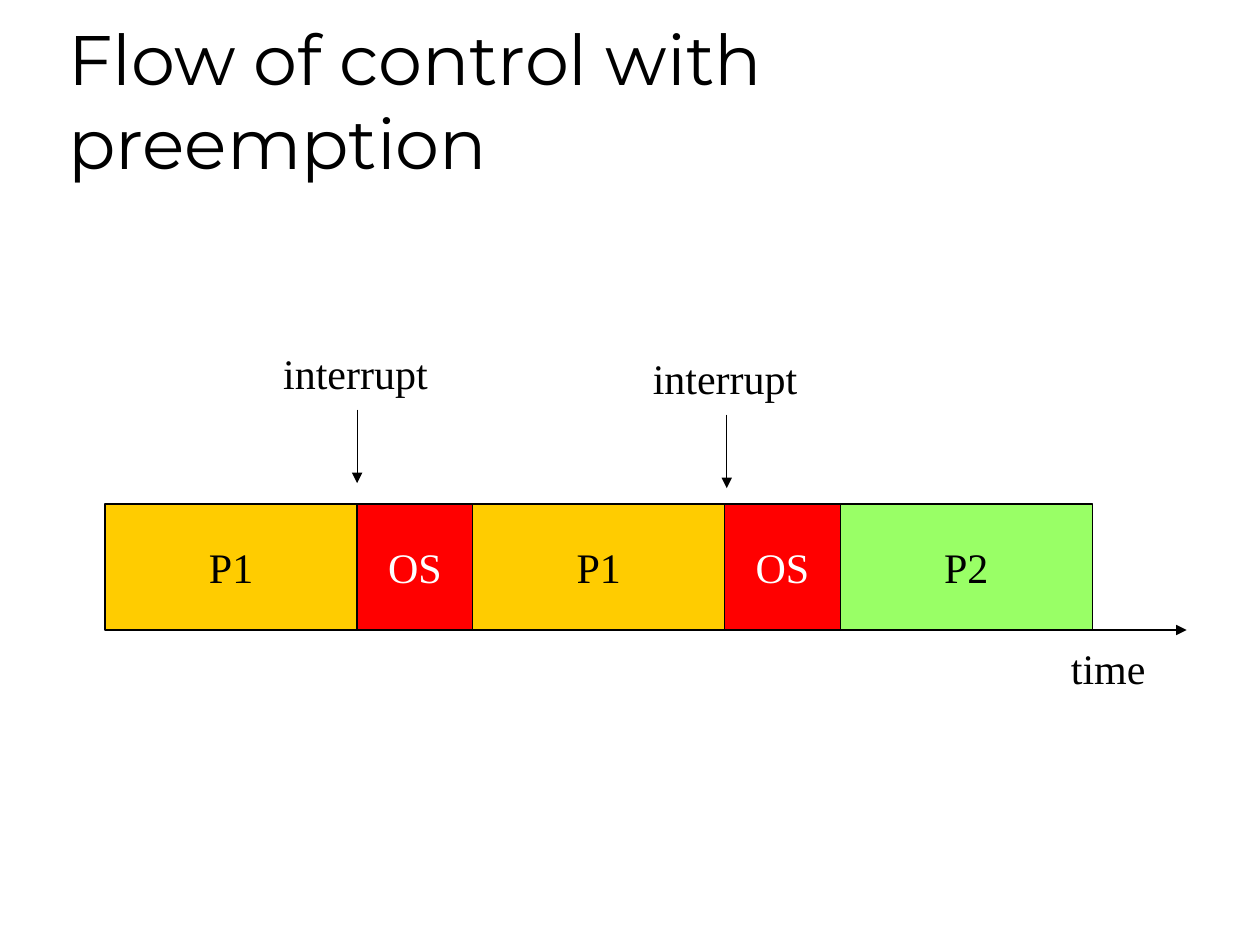
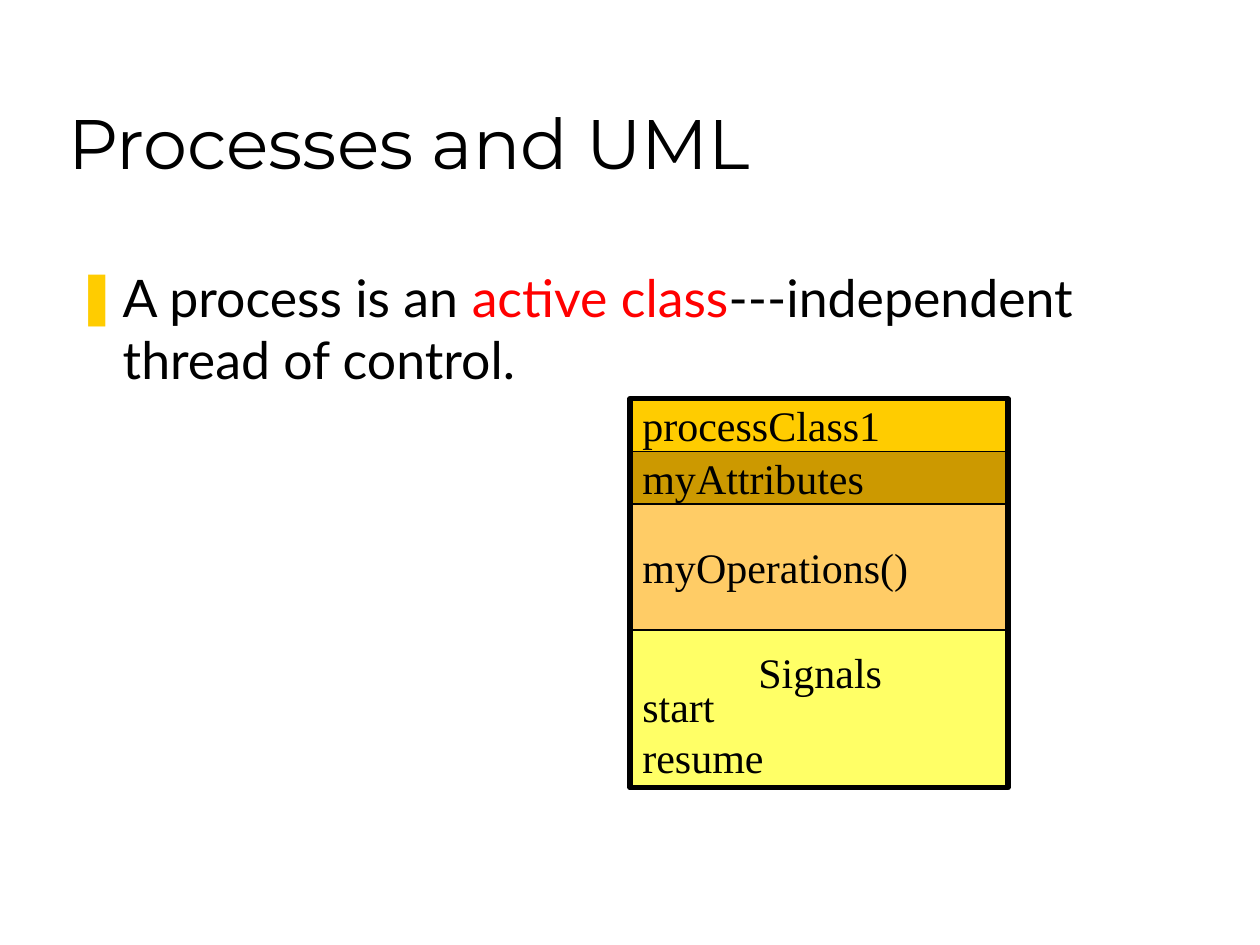
from lxml import etree
from pptx import Presentation
from pptx.dml.color import RGBColor
from pptx.enum import shapes, text
from pptx.oxml import ns
from pptx.util import Cm, Pt

BLACK = RGBColor(0x00, 0x00, 0x00)
WHITE = RGBColor(0xFF, 0xFF, 0xFF)
RED = RGBColor(0xFF, 0x00, 0x00)
GOLD = RGBColor(0xFF, 0xCC, 0x00)
GREEN = RGBColor(0x99, 0xFF, 0x66)
BROWN = RGBColor(0xCC, 0x99, 0x00)
PEACH = RGBColor(0xFF, 0xCC, 0x66)
LEMON = RGBColor(0xFF, 0xFF, 0x66)

SERIF = "Times New Roman"
LEFT = text.PP_ALIGN.LEFT
CENTER = text.PP_ALIGN.CENTER
TOP = text.MSO_ANCHOR.TOP
MIDDLE = text.MSO_ANCHOR.MIDDLE
BOTTOM = text.MSO_ANCHOR.BOTTOM


def write(frame, lines, font=SERIF, size=24, color=BLACK, align=LEFT,
          anchor=TOP, wrap=True, bullet=None):
    """Fill a text frame; each line is a string or a list of (string, colour) runs."""
    frame.auto_size = text.MSO_AUTO_SIZE.NONE
    frame.word_wrap = wrap
    frame.vertical_anchor = anchor
    for i, line in enumerate(lines):
        para = frame.paragraphs[0] if i == 0 else frame.add_paragraph()
        if bullet:
            mark(para, bullet)
        para.alignment = align
        para.space_before = Pt(0)
        for part, tint in [(line, color)] if isinstance(line, str) else line:
            run = para.add_run()
            run.text = part
            run.font.name = font
            run.font.size = Pt(size)
            run.font.color.rgb = tint


def mark(para, color, sign="❚", indent=0.95):
    """Give a paragraph a coloured bullet with a hanging indent."""
    props = para._p.get_or_add_pPr()
    props.set("marL", str(Cm(indent)))
    props.set("indent", str(-Cm(indent)))
    tint = etree.SubElement(props, ns.qn("a:buClr"))
    etree.SubElement(tint, ns.qn("a:srgbClr"), val=str(color))
    etree.SubElement(props, ns.qn("a:buChar"), char=sign)


def place(shape, left, top, width, height):
    """Move and size a shape in centimetres."""
    shape.left, shape.top = Cm(left), Cm(top)
    shape.width, shape.height = Cm(width), Cm(height)


def start(deck, layout, title):
    """Add a slide with its title."""
    slide = deck.slides.add_slide(deck.slide_layouts[layout])
    place(slide.shapes.title, 1.12, 0.64, 21.59, 3.18)
    write(slide.shapes.title.text_frame, [title], font="Montserrat", size=40,
          anchor=BOTTOM)
    return slide


def block(slide, left, top, width, height, fill=None, lines=(), line=0.75, **style):
    """Draw an outlined rectangle with optional fill and text."""
    box = slide.shapes.add_shape(shapes.MSO_SHAPE.RECTANGLE, Cm(left), Cm(top),
                                 Cm(width), Cm(height))
    box.shadow.inherit = False
    if fill is None:
        box.fill.background()
    else:
        box.fill.solid()
        box.fill.fore_color.rgb = fill
    box.line.color.rgb = BLACK
    box.line.width = Pt(line)
    write(box.text_frame, lines, **{"anchor": MIDDLE, **style})


def label(slide, left, top, width, words):
    """Add a one-line text box."""
    box = slide.shapes.add_textbox(Cm(left), Cm(top), Cm(width), Cm(1.27))
    write(box.text_frame, [words], wrap=False)


def arrow(slide, x1, y1, x2, y2):
    """Draw a thin arrow from one point to another."""
    link = slide.shapes.add_connector(shapes.MSO_CONNECTOR.STRAIGHT,
                                      Cm(x1), Cm(y1), Cm(x2), Cm(y2))
    link.line.color.rgb = BLACK
    link.line.width = Pt(0.75)
    etree.SubElement(link.line._get_or_add_ln(), ns.qn("a:tailEnd"), type="triangle")
    etree.SubElement(link._element.spPr, ns.qn("a:effectLst"))


def flow(deck):
    """Build the timeline of preempted processes."""
    slide = start(deck, 5, "Flow of control with preemption")
    left, base, high = 2.12, 12.7, 2.54
    arrow(slide, left, base, 23.92, base)
    label(slide, 21.34, 12.83, 2.01, "time")
    kinds = {"P1": (5.08, GOLD, BLACK), "OS": (2.33, RED, WHITE),
             "P2": (5.08, GREEN, BLACK)}
    for name in ("P1", "OS", "P1", "OS", "P2"):
        width, fill, ink = kinds[name]
        block(slide, left, base - high, width, high, fill, [name],
              color=ink, align=CENTER)
        left += width
    for x, y in ((7.2, 8.26), (14.65, 8.36)):
        arrow(slide, x, y, x, y + 1.48)
        label(slide, x - 1.74, y - 1.37, 3.43, "interrupt")


def classes(deck):
    """Build the slide on active classes."""
    slide = start(deck, 1, "Processes and UML")
    body = slide.placeholders[1]
    place(body, 1.27, 5.23, 22.71, 2.79)
    write(body.text_frame,
          [[("A process is an ", BLACK), ("active class", RED),
            ("---independent thread of control.", BLACK)]],
          font="Lato", size=29.6, bullet=GOLD)
    left, top, width = 12.7, 8.04, 7.62
    rows = ((1.06, GOLD, ["processClass1"], MIDDLE),
            (1.06, BROWN, ["myAttributes"], MIDDLE),
            (2.54, PEACH, ["myOperations()"], MIDDLE),
            (3.18, LEMON, ["start", "resume"], BOTTOM))
    y = top
    for height, fill, lines, anchor in rows:
        block(slide, left, y, width, height, fill, lines, anchor=anchor)
        y += height
    label(slide, 15.04, 12.9, 3, "Signals")
    block(slide, left, top, width, y - top, line=3)


def main():
    """Build and save the deck."""
    deck = Presentation()
    deck.slide_width, deck.slide_height = Cm(25.4), Cm(19.05)
    flow(deck)
    classes(deck)
    deck.save("out.pptx")


if __name__ == "__main__":
    main()
